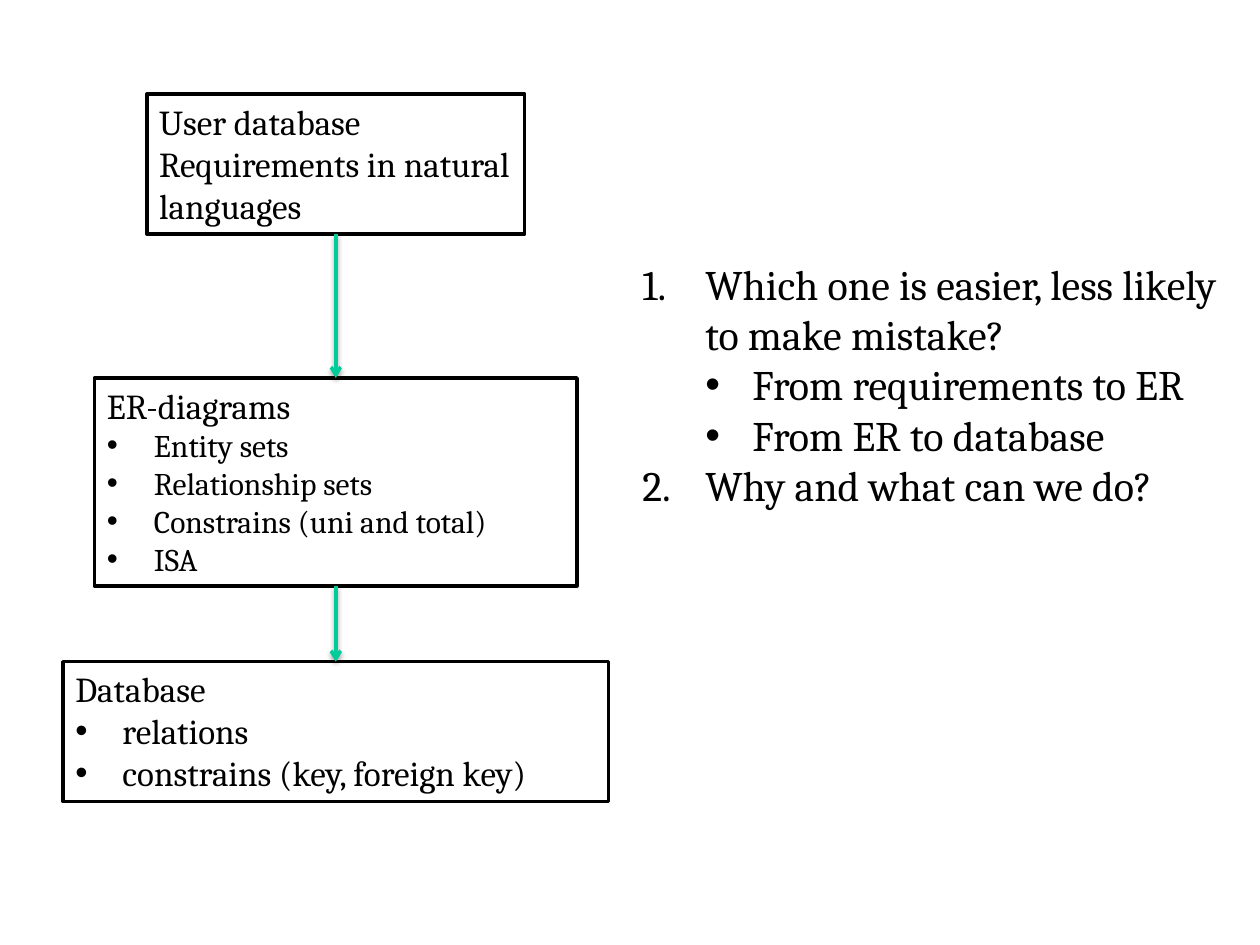
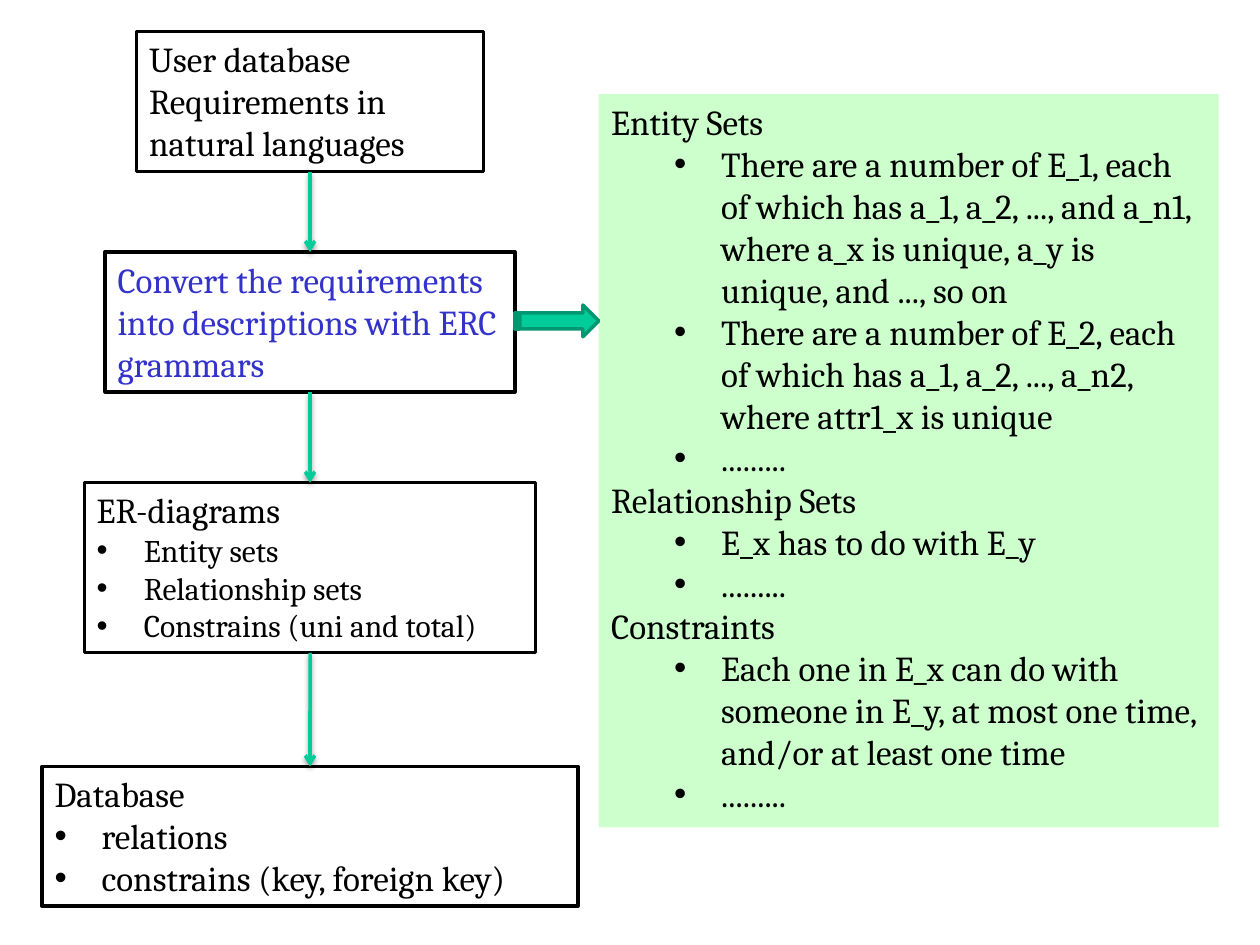
from dataclasses import dataclass
from itertools import pairwise

from lxml.etree import SubElement
from pptx import Presentation
from pptx.dml.color import RGBColor
from pptx.enum.shapes import MSO_CONNECTOR as Connector, MSO_SHAPE as Shape
from pptx.enum.text import MSO_ANCHOR as Anchor, MSO_AUTO_SIZE as AutoSize, PP_ALIGN as Align
from pptx.oxml.ns import qn
from pptx.util import Cm, Pt


@dataclass(frozen=True)
class Theme:
    font: str = "Cambria"
    ink: str = "000000"
    accent: str = "3333CC"
    paper: str = "FFFFFF"
    panel: str = "CCFFCC"
    arrow: str = "00CC99"
    arrow_edge: str = "009771"
    body: int = 20
    detail: int = 18
    question: int = 24
    stroke: int = 2


THEME = Theme()

PLAIN, ITEM, SUBITEM, NUMBER = "plain", "item", "subitem", "number"
INDENTS = {ITEM: (0, 0.95, 0.95), SUBITEM: (1, 2.22, 0.95), NUMBER: (0, 1.27, 1.27)}

REQUIREMENTS = [(PLAIN, "User database Requirements in natural languages")]
CONVERSION = [(PLAIN, "Convert the requirements into descriptions with ERC grammars")]
DIAGRAMS = [
    (PLAIN, "ER-diagrams"),
    (ITEM, "Entity sets"),
    (ITEM, "Relationship sets"),
    (ITEM, "Constrains (uni and total)"),
]
DATABASE = [
    (PLAIN, "Database"),
    (ITEM, "relations"),
    (ITEM, "constrains (key, foreign key)"),
]
QUESTIONS = [
    (NUMBER, "Which one is easier, less likely to make mistake?"),
    (SUBITEM, "From requirements to ER"),
    (SUBITEM, "From ER to database"),
    (NUMBER, "Why and what can we do?"),
]
GRAMMAR = [
    (PLAIN, "Entity Sets"),
    (SUBITEM, "There are a number of E_1, each of which has a_1, a_2, ..., and a_n1, "
              "where a_x is unique, a_y is unique, and ..., so on"),
    (SUBITEM, "There are a number of E_2, each of which has a_1, a_2, ..., a_n2, "
              "where attr1_x is unique"),
    (SUBITEM, "........."),
    (PLAIN, "Relationship Sets"),
    (SUBITEM, "E_x has to do with E_y"),
    (SUBITEM, "........."),
    (PLAIN, "Constraints"),
    (SUBITEM, "Each one in E_x can do with someone in E_y, at most one time, "
              "and/or at least one time"),
    (SUBITEM, "........."),
]


@dataclass(frozen=True)
class Stage:
    lines: list
    top: float
    width: float
    height: float = 2.82
    color: str = THEME.ink
    item_size: int = THEME.body


OVERVIEW_CENTER = 6.77
OVERVIEW = [
    Stage(REQUIREMENTS, 1.9, 7.62),
    Stage(DIAGRAMS + [(ITEM, "ISA")], 7.62, 9.73, 4.19, item_size=THEME.detail),
    Stage(DATABASE, 13.34, 11),
]
DETAILED_CENTER = 6.25
DETAILED = [
    Stage(REQUIREMENTS, 0.64, 6.99),
    Stage(CONVERSION, 5.08, 8.26, color=THEME.accent),
    Stage(DIAGRAMS, 9.73, 9.1, 3.43, item_size=THEME.detail),
    Stage(DATABASE, 15.45, 10.8),
]


def rgb(value):
    return RGBColor.from_string(value)


def set_bullet(para, kind):
    level, margin, hanging = INDENTS[kind]
    para.level = level
    properties = para._p.get_or_add_pPr()
    properties.set("marL", str(Cm(margin)))
    properties.set("indent", str(-Cm(hanging)))
    if kind == NUMBER:
        SubElement(properties, qn("a:buFont"), typeface="+mj-lt")
        SubElement(properties, qn("a:buAutoNum"), type="arabicPeriod")
    else:
        SubElement(properties, qn("a:buFont"), typeface="Arial")
        SubElement(properties, qn("a:buChar"), char="•")


def write(box, lines, size, item_size, color=THEME.ink):
    frame = box.text_frame
    frame.word_wrap = True
    frame.auto_size = AutoSize.SHAPE_TO_FIT_TEXT
    frame.vertical_anchor = Anchor.TOP
    for number, (kind, text) in enumerate(lines):
        para = frame.add_paragraph() if number else frame.paragraphs[0]
        para.alignment = Align.LEFT
        if kind != PLAIN:
            set_bullet(para, kind)
        span = para.add_run()
        span.text = text
        span.font.name = THEME.font
        span.font.size = Pt(item_size if kind == ITEM else size)
        span.font.color.rgb = rgb(color)


def add_block(page, shape, left, top, width, height, fill, edge=None):
    box = page.shapes.add_shape(shape, Cm(left), Cm(top), Cm(width), Cm(height))
    box.shadow.inherit = False
    box.fill.solid()
    box.fill.fore_color.rgb = rgb(fill)
    if edge:
        box.line.color.rgb = rgb(edge)
        box.line.width = Pt(THEME.stroke)
    else:
        box.line.fill.background()
    return box


def add_arrow(page, source, target):
    arrow = page.shapes.add_connector(Connector.STRAIGHT, 0, 0, 0, 0)
    arrow.begin_connect(source, 2)
    arrow.end_connect(target, 0)
    arrow.line.color.rgb = rgb(THEME.arrow)
    arrow.line.width = Pt(THEME.stroke)
    SubElement(arrow.line._get_or_add_ln(), qn("a:tailEnd"), type="arrow")
    effects = SubElement(arrow._element.spPr, qn("a:effectLst"))
    shadow = SubElement(effects, qn("a:outerShdw"), blurRad=str(Pt(3.1)),
                        dist=str(Pt(1.6)), dir="5400000", rotWithShape="0")
    shade = SubElement(shadow, qn("a:srgbClr"), val=THEME.ink)
    SubElement(shade, qn("a:alpha"), val="38000")


def add_flow(page, stages, center):
    boxes = []
    for stage in stages:
        box = add_block(page, Shape.RECTANGLE, center - stage.width / 2, stage.top,
                        stage.width, stage.height, THEME.paper, THEME.ink)
        write(box, stage.lines, THEME.body, stage.item_size, stage.color)
        boxes.append(box)
    for source, target in pairwise(boxes):
        add_arrow(page, source, target)


def build_overview(page):
    add_flow(page, OVERVIEW, OVERVIEW_CENTER)
    box = page.shapes.add_textbox(Cm(12.7), Cm(5.08), Cm(12.28), Cm(5.38))
    write(box, QUESTIONS, THEME.question, THEME.question)


def build_detailed(page):
    add_flow(page, DETAILED, DETAILED_CENTER)
    panel_left = 12.07
    panel = add_block(page, Shape.RECTANGLE, panel_left, 1.9, 12.5, 14.78, THEME.panel)
    write(panel, GRAMMAR, THEME.body, THEME.body)
    conversion = DETAILED[1]
    start = DETAILED_CENTER + conversion.width / 2
    thickness = 0.64
    middle = conversion.top + conversion.height / 2
    add_block(page, Shape.STRIPED_RIGHT_ARROW, start, middle - thickness / 2 - 0.02,
              panel_left - start, thickness, THEME.arrow, THEME.arrow_edge)


def main():
    deck = Presentation()
    deck.slide_width, deck.slide_height = Cm(25.4), Cm(19.05)
    for build in (build_overview, build_detailed):
        build(deck.slides.add_slide(deck.slide_layouts[6]))
    deck.save("out.pptx")


if __name__ == "__main__":
    main()
